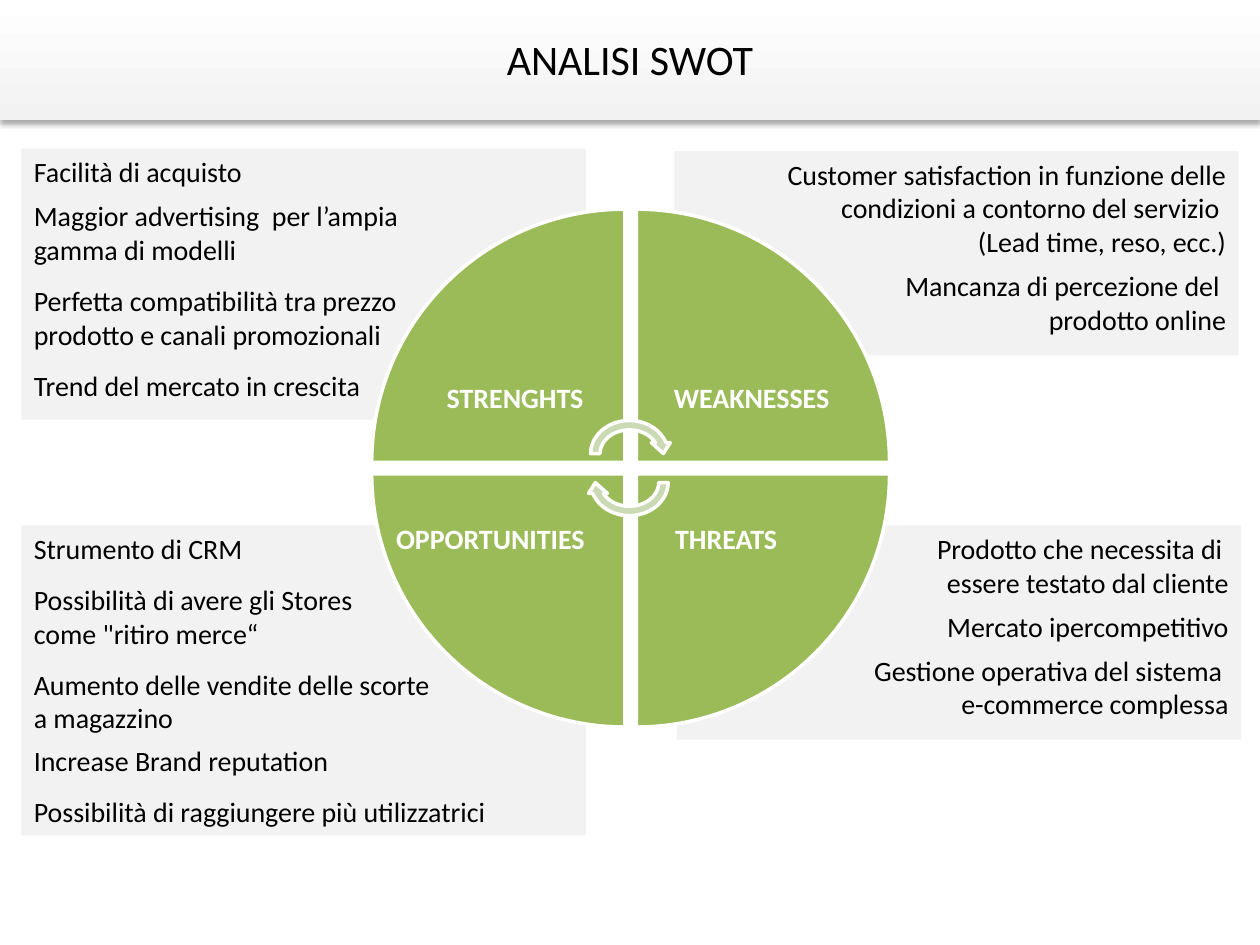
from lxml import etree
from pptx import Presentation
from pptx.dml.color import RGBColor
from pptx.enum.shapes import MSO_SHAPE
from pptx.enum.text import MSO_ANCHOR, PP_ALIGN
from pptx.oxml import parse_xml
from pptx.util import Inches, Pt

FONT = "Calibri"
COLORS = {"panel": "F2F2F2", "white": "FFFFFF", "black": "000000",
          "wedge": "9BBB59", "arrow": "CBDAB5"}
LEFT, RIGHT = PP_ALIGN.LEFT, PP_ALIGN.RIGHT

TITLE = "ANALISI SWOT"

# Panels: position and size, alignment, (space before in points, text)
PANELS = [
    ((5.37, 4.17, 4.48, 1.7), RIGHT, [
        (0, "Prodotto che necessita di "),
        (0, "essere testato dal cliente"),
        (6, "Mercato ipercompetitivo"),
        (6, "Gestione operativa del sistema "),
        (0, "e-commerce complessa")]),
    ((5.35, 1.2, 4.48, 1.62), RIGHT, [
        (0, "Customer satisfaction in funzione delle condizioni a contorno del servizio "),
        (0, "(Lead time, reso, ecc.)"),
        (6, "Mancanza di percezione del "),
        (0, "prodotto online")]),
    ((0.17, 4.17, 4.48, 2.46), LEFT, [
        (0, "Strumento di CRM"),
        (10, "Possibilità di avere gli Stores"),
        (0, "come \"ritiro merce“"),
        (10, "Aumento delle vendite delle scorte"),
        (0, "a magazzino"),
        (5, "Increase Brand reputation"),
        (10, "Possibilità di raggiungere più utilizzatrici")]),
    ((0.17, 1.18, 4.48, 2.15), LEFT, [
        (0, "Facilità di acquisto"),
        (6, "Maggior advertising  per l’ampia"),
        (0, "gamma di modelli"),
        (10, "Perfetta compatibilità tra prezzo \vprodotto e canali promozionali"),
        (10, "Trend del mercato in crescita")]),
]

# Wheel: (column, row) of each quarter, clockwise from the top left
QUARTERS = [(0, 0), (1, 0), (1, 1), (0, 1)]
WHEEL_LEFT, WHEEL_TOP, WEDGE, WEDGE_STEP = 2.95, 1.66, 2.01, 2.1
ARROWS = [(3.3, 0), (3.53, 180)]  # top, rotation

LABELS = [
    ("STRENGHTS", (3.43, 2.97, 1.3, 0.37), RIGHT),
    ("OPPORTUNITIES", (3.02, 4.09, 1.72, 0.37), RIGHT),
    ("WEAKNESSES", (5.25, 2.97, 1.5, 0.37), LEFT),
    ("THREATS", (5.26, 4.09, 1.02, 0.37), LEFT),
]

SHADOW = """<a:effectLst xmlns:a="http://schemas.openxmlformats.org/drawingml/2006/main">
<a:outerShdw blurRad="39370" dist="22860" dir="5400000" rotWithShape="0">
<a:srgbClr val="000000"><a:alpha val="35000"/></a:srgbClr></a:outerShdw></a:effectLst>"""


def color(name):
    return RGBColor.from_string(COLORS[name])


def format_text(paragraph, text, size, color_name, alignment, bold=False):
    paragraph.text = text
    paragraph.alignment = alignment
    font = paragraph.font
    font.name, font.size, font.bold = FONT, Pt(size), bold
    font.color.rgb = color(color_name)


def add_shape(slide, kind, box, fill, outline=None, rotation=0):
    shape = slide.shapes.add_shape(kind, *map(Inches, box))
    shape.shadow.inherit = False
    shape.rotation = rotation
    shape.fill.solid()
    shape.fill.fore_color.rgb = color(fill)
    if outline:
        shape.line.color.rgb = color(outline)
        shape.line.width = Pt(2)
    else:
        shape.line.fill.background()
    return shape


def add_panel(slide, box, alignment, lines):
    frame = add_shape(slide, MSO_SHAPE.RECTANGLE, box, "panel").text_frame
    frame.word_wrap = True
    frame.vertical_anchor = MSO_ANCHOR.TOP
    for index, (gap, text) in enumerate(lines):
        paragraph = frame.add_paragraph() if index else frame.paragraphs[0]
        format_text(paragraph, text, 16, "black", alignment)
        paragraph.space_before = Pt(gap)


def add_header(slide):
    title = slide.shapes.title
    band = add_shape(slide, MSO_SHAPE.RECTANGLE, (0, 0, 10, 0.95), "panel")
    band.fill.gradient()
    band.fill.gradient_angle = 90
    for stop, position, name in zip(band.fill.gradient_stops, (0, 1), ("panel", "white")):
        stop.position = position
        stop.color.rgb = color(name)
    properties = band.element.spPr
    for effects in properties.findall("{*}effectLst"):
        properties.replace(effects, parse_xml(SHADOW))

    # The title lies over the band
    title.element.getparent().append(title.element)
    title.left, title.top, title.width, title.height = map(Inches, (0.75, 0.07, 8.5, 0.79))
    title.text_frame.vertical_anchor = MSO_ANCHOR.MIDDLE
    format_text(title.text_frame.paragraphs[0], TITLE, 24, "black", PP_ALIGN.CENTER)


def add_wheel(slide):
    for index, (column, row) in enumerate(QUARTERS):
        box = (WHEEL_LEFT + column * WEDGE_STEP, WHEEL_TOP + row * WEDGE_STEP, WEDGE, WEDGE)
        add_shape(slide, MSO_SHAPE.PIE_WEDGE, box, "wedge", "white", index * 90)
    for top, rotation in ARROWS:
        add_shape(slide, MSO_SHAPE.CIRCULAR_ARROW, (4.65, top, 0.69, 0.6),
                  "arrow", "white", rotation)


def add_label(slide, text, box, alignment):
    frame = slide.shapes.add_textbox(*map(Inches, box)).text_frame
    frame.word_wrap = False
    format_text(frame.paragraphs[0], text, 16, "white", alignment, bold=True)


def main():
    presentation = Presentation()
    presentation.slide_width, presentation.slide_height = Inches(10), Inches(7.5)
    slide = presentation.slides.add_slide(presentation.slide_layouts[5])
    for panel in PANELS:
        add_panel(slide, *panel)
    add_header(slide)
    add_wheel(slide)
    for label in LABELS:
        add_label(slide, *label)
    presentation.save("out.pptx")


if __name__ == "__main__":
    main()
